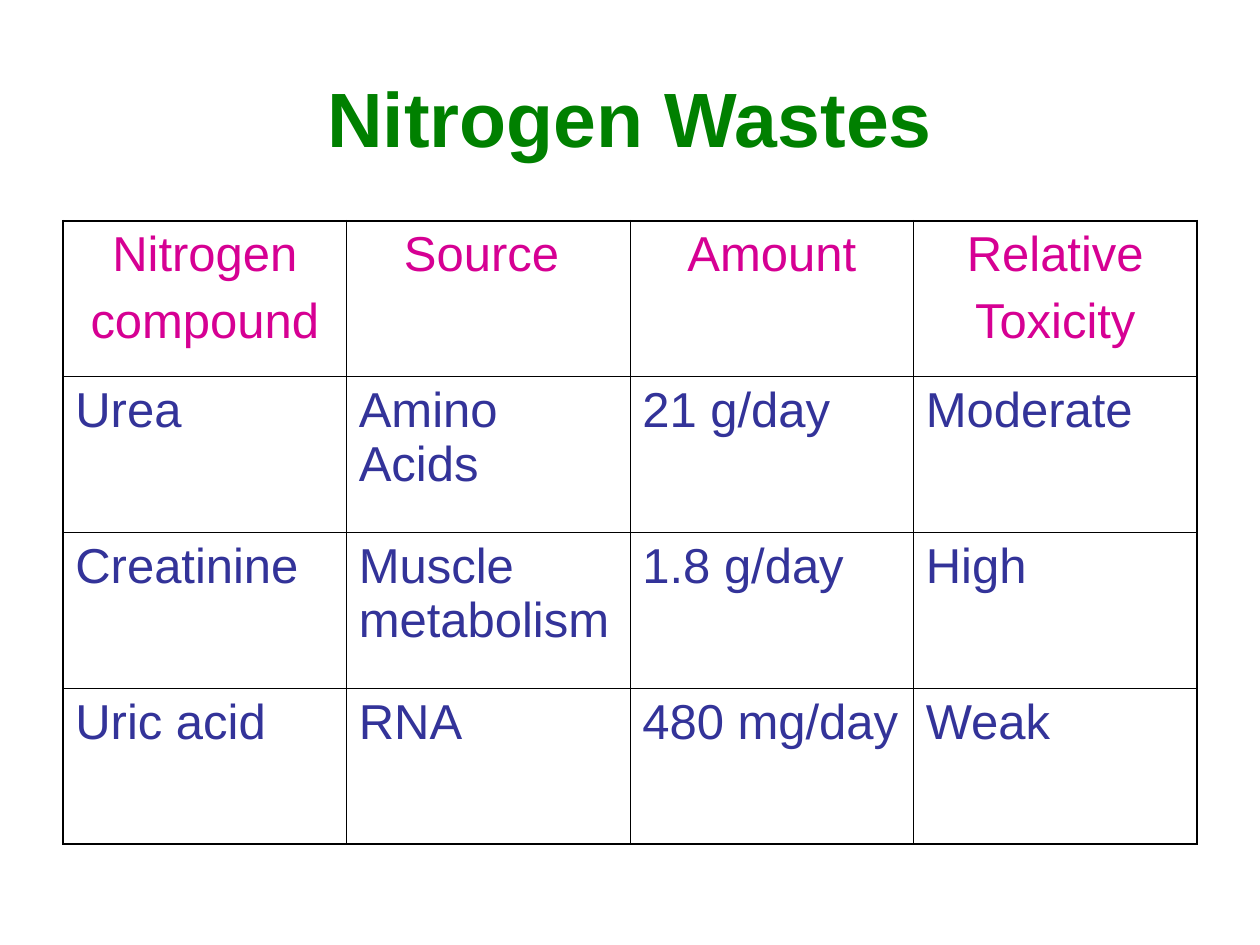
from dataclasses import dataclass

from lxml.etree import SubElement
from pptx import Presentation
from pptx.dml.color import RGBColor
from pptx.enum.text import MSO_ANCHOR, PP_ALIGN
from pptx.oxml.ns import qn
from pptx.util import Cm, Pt

GREEN = RGBColor(0x00, 0x80, 0x00)
MAGENTA = RGBColor(0xD6, 0x00, 0x93)
INDIGO = RGBColor(0x33, 0x33, 0x99)
BLACK = RGBColor(0x00, 0x00, 0x00)

LEFT, WIDTH = Cm(1.27), Cm(22.86)
INSETS = {"margin_left": Cm(0.25), "margin_right": Cm(0.25),
          "margin_top": Cm(0.13), "margin_bottom": Cm(0.13)}
OUTER_LINE, INNER_LINE = Pt(1.08), Pt(0.45)


@dataclass(frozen=True)
class TextStyle:
    size: float
    color: RGBColor
    align: PP_ALIGN
    bold: bool = False


TITLE = TextStyle(44, GREEN, PP_ALIGN.CENTER, True)
HEADING = TextStyle(28, MAGENTA, PP_ALIGN.CENTER)
BODY = TextStyle(28, INDIGO, PP_ALIGN.LEFT)

WASTES = [
    ["Nitrogen\ncompound", "Source ", "Amount", "Relative\nToxicity"],
    ["Urea", "Amino Acids", "21 g/day", "Moderate"],
    ["Creatinine", "Muscle metabolism", "1.8 g/day", "High"],
    ["Uric acid", "RNA", "480 mg/day", "Weak"],
]


def apply(target: object, values: dict) -> None:
    for name, value in values.items():
        setattr(target, name, value)


def write(frame, text: str, style: TextStyle) -> None:
    frame.text = text
    for index, paragraph in enumerate(frame.paragraphs):
        paragraph.alignment = style.align
        if index:
            paragraph.space_before = Pt(7)
        for run in paragraph.runs:
            apply(run.font, {"name": "Arial", "size": Pt(style.size), "bold": style.bold})
            run.font.color.rgb = style.color


def draw_borders(cell, widths: dict[str, int]) -> None:
    """Add the cell lines ahead of the fill, as the schema requires."""
    properties = cell._tc.get_or_add_tcPr()
    for index, (side, width) in enumerate(widths.items()):
        line = SubElement(properties, qn(f"a:{side}"), w=str(width))
        SubElement(SubElement(line, qn("a:solidFill")), qn("a:srgbClr"), val=str(BLACK))
        properties.insert(index, line)


def add_title(slide, text: str) -> None:
    frame = slide.shapes.add_textbox(LEFT, Cm(0.76), WIDTH, Cm(3.18)).text_frame
    apply(frame, INSETS | {"word_wrap": True, "vertical_anchor": MSO_ANCHOR.MIDDLE})
    write(frame, text, TITLE)


def add_waste_table(slide, rows: list[list[str]]) -> None:
    last_row, last_column = len(rows) - 1, len(rows[0]) - 1
    table = slide.shapes.add_table(
        len(rows), len(rows[0]), LEFT, Cm(4.45), WIDTH, Cm(12.57)).table
    apply(table, {"first_row": False, "horz_banding": False})
    for r, row in enumerate(rows):
        for c, text in enumerate(row):
            cell = table.cell(r, c)
            apply(cell, INSETS | {"vertical_anchor": MSO_ANCHOR.TOP})
            cell.fill.background()
            write(cell.text_frame, text, BODY if r else HEADING)
            on_edge = {"lnL": c == 0, "lnR": c == last_column,
                       "lnT": r == 0, "lnB": r == last_row}
            draw_borders(cell, {side: OUTER_LINE if edge else INNER_LINE
                                for side, edge in on_edge.items()})


def main() -> None:
    presentation = Presentation()
    apply(presentation, {"slide_width": Cm(25.4), "slide_height": Cm(19.05)})
    slide = presentation.slides.add_slide(presentation.slide_layouts[6])

    # Heading
    add_title(slide, "Nitrogen Wastes")

    # Compounds with their source, amount and toxicity
    add_waste_table(slide, WASTES)

    presentation.save("out.pptx")


if __name__ == "__main__":
    main()
